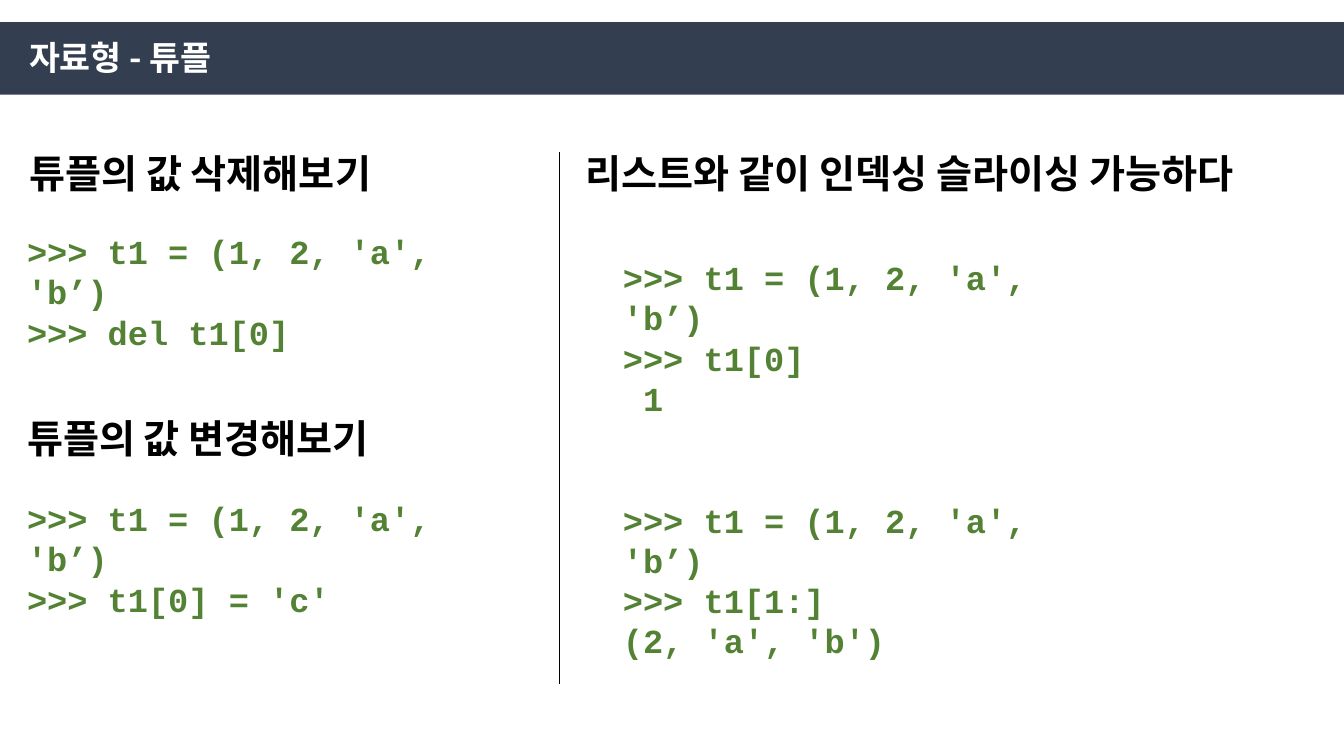
from dataclasses import dataclass

from lxml import etree
from pptx import Presentation
from pptx.dml.color import RGBColor
from pptx.enum.shapes import MSO_CONNECTOR, MSO_SHAPE
from pptx.oxml.ns import qn
from pptx.util import Inches, Pt

NAVY = RGBColor(0x33, 0x3F, 0x50)
WHITE = RGBColor(0xFF, 0xFF, 0xFF)
BLACK = RGBColor(0, 0, 0)
GREEN = RGBColor(0x54, 0x82, 0x35)

KOREAN = "Noto Sans CJK KR"
MONO = "Courier New"
EXAMPLE_GAP = Pt(58)


@dataclass(frozen=True)
class Style:
    font: str
    size: int
    color: RGBColor


@dataclass(frozen=True)
class Block:
    left: float
    top: float
    width: float
    height: float
    style: Style
    examples: tuple[tuple[str, ...], ...]


TITLE = Style(KOREAN, 24, WHITE)
HEADING = Style(KOREAN, 28, BLACK)
CODE = Style(MONO, 24, GREEN)

MAKE_TUPLE = ">>> t1 = (1, 2, 'a', 'b’)"

BLOCKS = (
    Block(0.19, 0.32, 9.92, 0.5, TITLE, (("자료형 - 튜플",),)),
    Block(0.19, 1.43, 4.84, 0.57, HEADING, (("튜플의 값 삭제해보기",),)),
    Block(0.17, 2.24, 5.03, 0.91, CODE, ((MAKE_TUPLE, ">>> del t1[0]"),)),
    Block(0.17, 4.06, 4.84, 0.57, HEADING, (("튜플의 값 변경해보기",),)),
    Block(0.17, 4.89, 5.03, 0.91, CODE, ((MAKE_TUPLE, ">>> t1[0] = 'c'"),)),
    Block(5.71, 1.43, 8.02, 0.57, HEADING,
          (("리스트와 같이 인덱싱 슬라이싱 가능하다",),)),
    Block(6.08, 2.5, 5.03, 3.33, CODE,
          ((MAKE_TUPLE, ">>> t1[0]", " 1"),
           (MAKE_TUPLE, ">>> t1[1:]", "(2, 'a', 'b')"))),
)


def add_title_bar(slide) -> None:
    bar = slide.shapes.add_shape(MSO_SHAPE.RECTANGLE, 0, Inches(0.22),
                                 Inches(13.33), Inches(0.72))
    bar.shadow.inherit = False
    bar.fill.solid()
    bar.fill.fore_color.rgb = NAVY
    bar.line.fill.background()


def add_block(slide, block: Block) -> None:
    """Write the examples below each other, with a gap between them."""
    box = slide.shapes.add_textbox(Inches(block.left), Inches(block.top),
                                   Inches(block.width), Inches(block.height))
    tf = box.text_frame
    tf.word_wrap = True
    tf.text = "\n".join(line for lines in block.examples for line in lines)
    for p in tf.paragraphs:
        font = p.font
        font.name = block.style.font
        font.size = Pt(block.style.size)
        font.bold = True
        font.color.rgb = block.style.color
        for r in p.runs:
            r.font.name = block.style.font
            east_asian = etree.SubElement(r.font._element, qn("a:ea"))
            east_asian.set("typeface", block.style.font)
    start = 0
    for lines in block.examples[:-1]:
        start += len(lines)
        tf.paragraphs[start].space_before = EXAMPLE_GAP


def add_divider(slide) -> None:
    divider = slide.shapes.add_connector(MSO_CONNECTOR.STRAIGHT,
                                         Inches(5.55), Inches(1.51),
                                         Inches(5.55), Inches(6.79))
    divider.line.color.rgb = BLACK
    divider.line.width = Pt(0.75)
    etree.SubElement(divider._element.spPr, qn("a:effectLst"))


def main() -> None:
    prs = Presentation()
    prs.slide_width = Inches(13.33)
    prs.slide_height = Inches(7.5)
    slide = prs.slides.add_slide(prs.slide_layouts[6])
    add_title_bar(slide)
    for block in BLOCKS:
        add_block(slide, block)
    add_divider(slide)
    prs.save("out.pptx")


if __name__ == "__main__":
    main()
